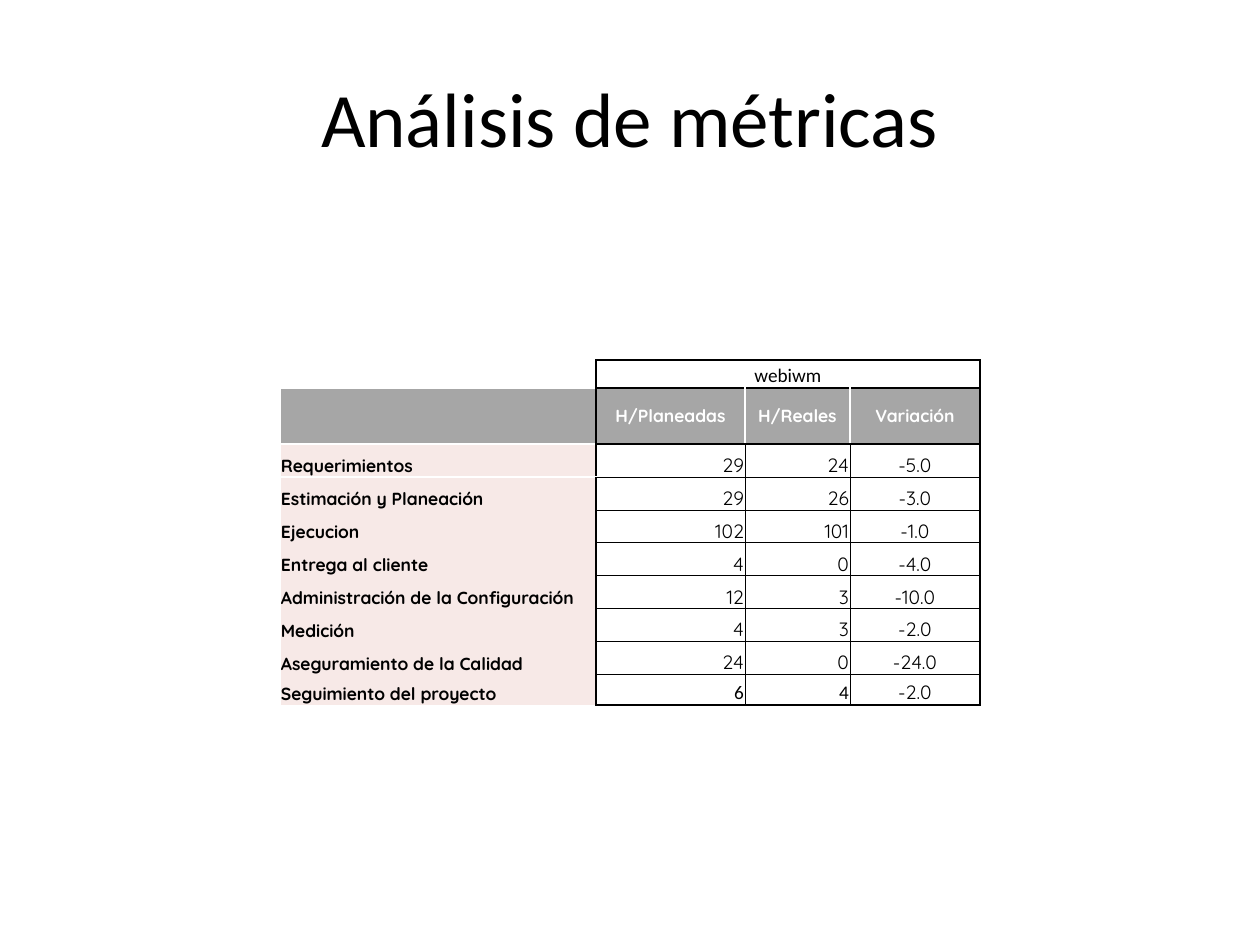
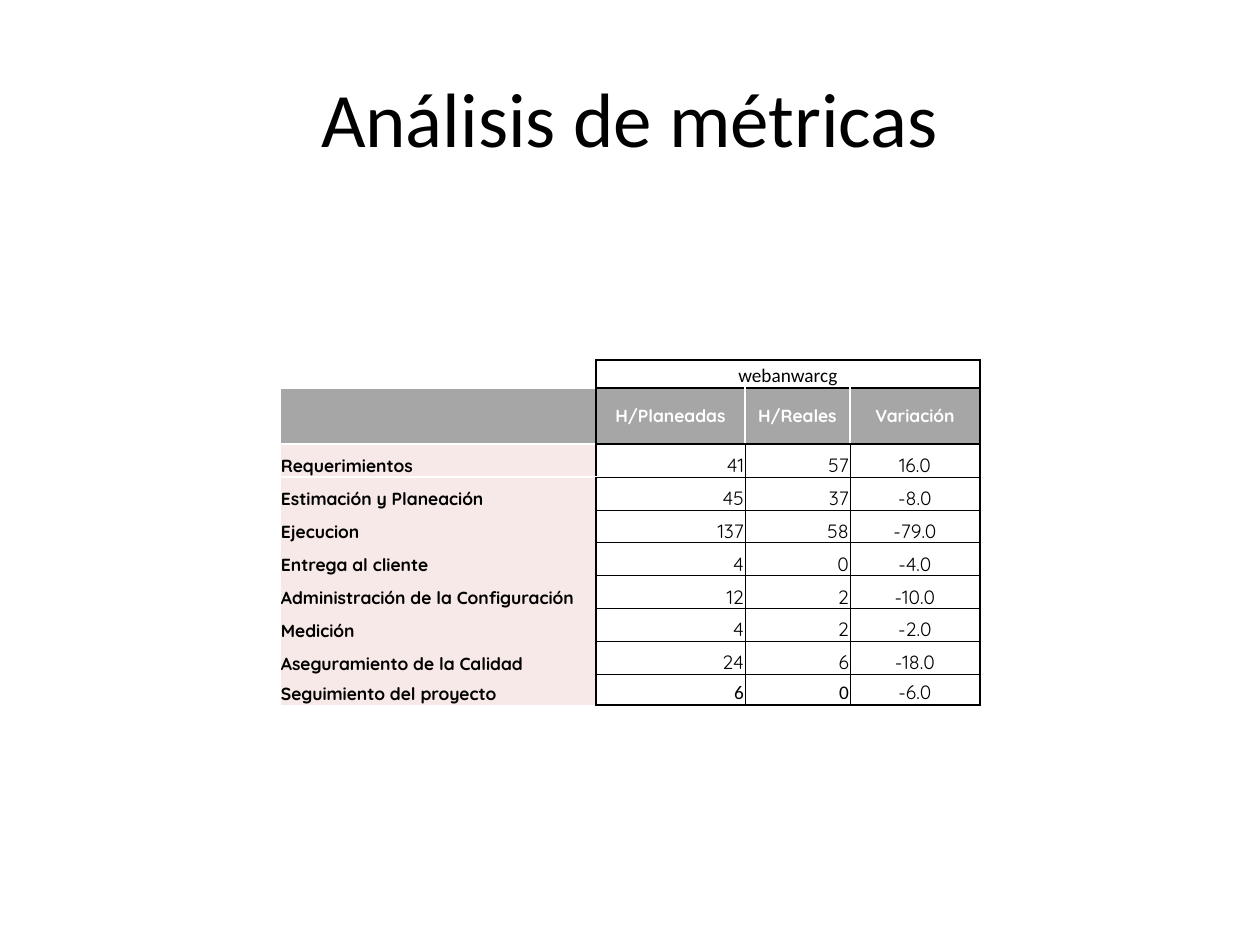
import pptx
import pptx.dml.color
import pptx.enum.text
import pptx.oxml.ns
import pptx.util
from lxml import etree

PX = 914400 // 126
BLACK, WHITE, GRAY, PINK = "000000", "FFFFFF", "A6A6A6", "F7E9E7"
BODY, HEADING = "Quicksand", "Calibri"
NO_STYLE = "{2D5ABB26-0587-4C30-8999-92F81FD0307C}"
ALIGN = pptx.enum.text.PP_ALIGN
ANCHOR = pptx.enum.text.MSO_ANCHOR

TITLE = "Análisis de métricas"
HEADERS = ["H/Planeadas", "H/Reales", "Variación"]
PHASES = ["Requerimientos", "Estimación y Planeación", "Ejecucion",
          "Entrega al cliente", "Administración de la Configuración",
          "Medición", "Aseguramiento de la Calidad",
          "Seguimiento del proyecto"]
PROJECTS = {
    "webiwm": [
        (29, 24, -5), (29, 26, -3), (102, 101, -1), (4, 0, -4),
        (12, 3, -10), (4, 3, -2), (24, 0, -24), (6, 4, -2)],
    "webanwarcg": [
        (41, 57, 16), (45, 37, -8), (137, 58, -79), (4, 0, -4),
        (12, 2, -10), (4, 2, -2), (24, 6, -18), (6, 0, -6)],
}
COLUMNS = [316, 149, 105, 130]
ROWS = [28, 56] + [33] * 7 + [30]
LAST_ROW, LAST_COL = len(ROWS) - 1, len(COLUMNS) - 1


def px(n):
    """Turn pixels into EMU."""
    return pptx.util.Emu(n * PX)


def rgb(code):
    """Turn a hex string into a colour."""
    return pptx.dml.color.RGBColor.from_string(code)


def write(tf, text, size=11, font=BODY, color=BLACK, bold=False, align=ALIGN.LEFT):
    """Write one formatted paragraph into a text frame."""
    p = tf.paragraphs[0]
    p.alignment = align
    r = p.add_run()
    r.text = text
    r.font.size = pptx.util.Pt(size)
    r.font.name = font
    r.font.bold = bold
    r.font.color.rgb = rgb(color)


def add_title(s):
    """Add the slide title."""
    sp = s.shapes.add_textbox(px(63), px(38), px(1134), px(157))
    tf = sp.text_frame
    tf.word_wrap = True
    tf.vertical_anchor = ANCHOR.MIDDLE
    write(tf, TITLE, size=44, font=HEADING, align=ALIGN.CENTER)


def set_borders(cell, borders):
    """Draw the borders of a cell from a side to (colour, points) map."""
    tc_pr = cell._tc.get_or_add_tcPr()
    for side in "LRTB":
        if side in borders:
            color, width = borders[side]
            ln = etree.SubElement(tc_pr, pptx.oxml.ns.qn("a:ln" + side),
                                  w=str(pptx.util.Pt(width)))
            fill = etree.SubElement(ln, pptx.oxml.ns.qn("a:solidFill"))
            etree.SubElement(fill, pptx.oxml.ns.qn("a:srgbClr"), val=color)


def cell_borders(row, col):
    """Give the borders that belong to a place in the table."""
    black, white, thin = (BLACK, 1), (WHITE, 1), (BLACK, 0.5)
    if col == 0:
        if row == 0:
            return {"R": black, "B": white}
        if row == 1:
            return {"L": white, "R": black, "T": white, "B": white}
        if row == 2:
            return {"L": white, "R": black, "T": white}
        return {"L": white, "R": black}
    if row == 0:
        return dict.fromkeys("LRTB", black)
    inner = white if row == 1 else thin
    return {"L": black if col == 1 else inner,
            "R": black if col == LAST_COL else inner,
            "T": black if row <= 2 else thin,
            "B": black if row in (1, LAST_ROW) else thin}


def format_cell(cell, row, col):
    """Set the insets, anchor, borders and fill of a cell."""
    cell.margin_left = cell.margin_right = cell.margin_top = px(1)
    cell.margin_bottom = 0
    cell.vertical_anchor = ANCHOR.MIDDLE if row == 1 else ANCHOR.BOTTOM
    set_borders(cell, cell_borders(row, col))
    color = GRAY if row == 1 else PINK if row and col == 0 else None
    if color:
        cell.fill.solid()
        cell.fill.fore_color.rgb = rgb(color)
    else:
        cell.fill.background()


def add_metrics(s, project, values):
    """Add the table of planned and real hours of a project."""
    frame = s.shapes.add_table(len(ROWS), len(COLUMNS), px(280), px(360),
                               px(sum(COLUMNS)), px(sum(ROWS)))
    table = frame.table
    table.first_row = table.horz_banding = False
    table._tbl.tblPr.find(pptx.oxml.ns.qn("a:tableStyleId")).text = NO_STYLE
    for column, width in zip(table.columns, COLUMNS):
        column.width = px(width)
    for i, height in enumerate(ROWS):
        table.rows[i].height = px(height)
        for j in range(len(COLUMNS)):
            format_cell(table.cell(i, j), i, j)
    for i, j in ((0, 0), (0, 2), (0, 3), (1, 0)):
        p = table.cell(i, j).text_frame.paragraphs[0]
        etree.SubElement(p._p, pptx.oxml.ns.qn("a:endParaRPr"), sz="1000")

    table.cell(0, 1).merge(table.cell(0, LAST_COL))
    write(table.cell(0, 1).text_frame, project, font=HEADING, align=ALIGN.CENTER)
    for j, header in enumerate(HEADERS, 1):
        write(table.cell(1, j).text_frame, header, size=10, color=WHITE,
              bold=True, align=ALIGN.CENTER)
    for i, (phase, (planned, real, change)) in enumerate(zip(PHASES, values), 2):
        write(table.cell(i, 0).text_frame, phase, size=10, bold=True)
        font = HEADING if i == LAST_ROW else BODY
        for j, hours in enumerate((planned, real), 1):
            write(table.cell(i, j).text_frame, str(hours), font=font,
                  align=ALIGN.RIGHT)
        write(table.cell(i, 3).text_frame, f"{change:.1f}", align=ALIGN.CENTER)


def main():
    """Build one slide per project and save the file."""
    prs = pptx.Presentation()
    prs.slide_width, prs.slide_height = px(1260), px(945)
    for project, values in PROJECTS.items():
        s = prs.slides.add_slide(prs.slide_layouts[6])
        add_title(s)
        add_metrics(s, project, values)
    prs.save("out.pptx")


main()
